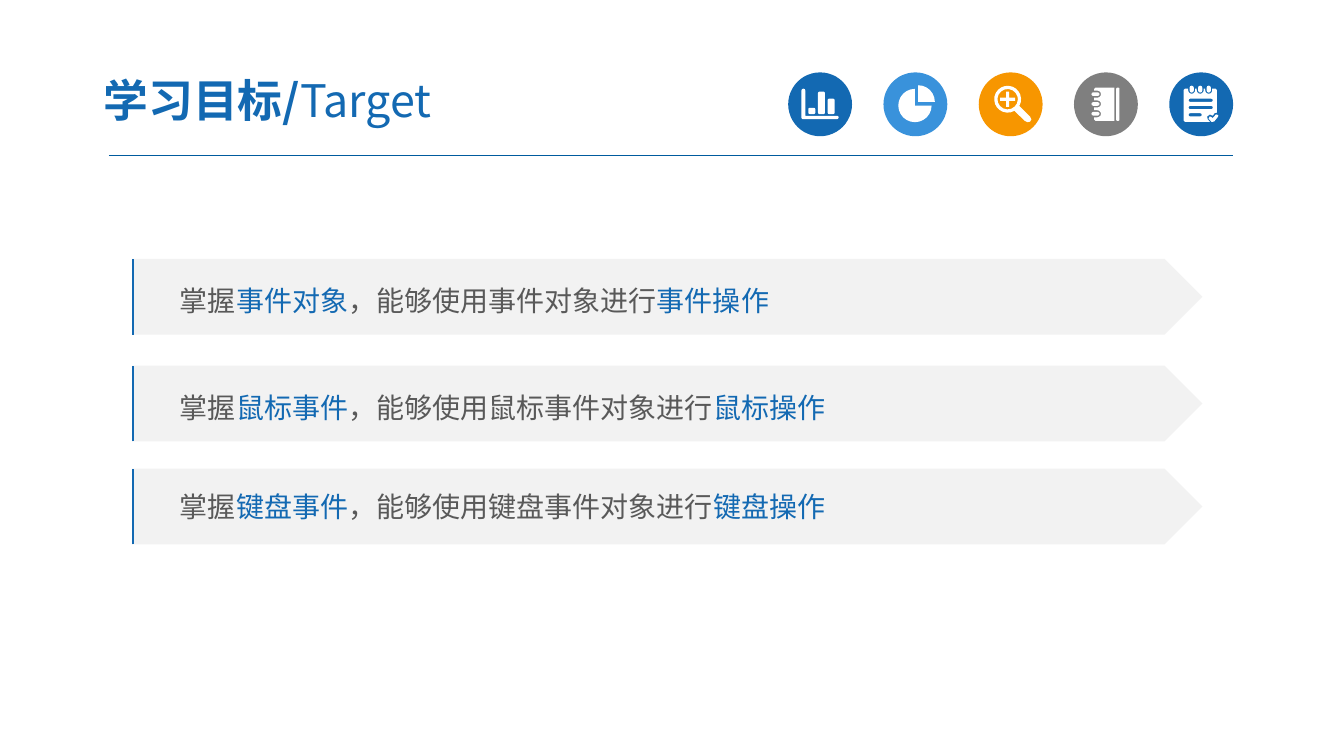
"""Build a slide of learning goals with a row of icons and three banners."""
from dataclasses import dataclass
from math import cos, radians, sin

from lxml import etree
from pptx import Presentation
from pptx.dml.color import RGBColor
from pptx.enum.shapes import MSO_CONNECTOR, MSO_SHAPE
from pptx.enum.text import MSO_ANCHOR, MSO_AUTO_SIZE, PP_ALIGN
from pptx.oxml.ns import qn
from pptx.util import Pt

OVAL = MSO_SHAPE.OVAL
BANNER = MSO_SHAPE.PENTAGON
STRAIGHT = MSO_CONNECTOR.STRAIGHT
LEFT = PP_ALIGN.LEFT
MIDDLE = MSO_ANCHOR.MIDDLE
NO_FIT = MSO_AUTO_SIZE.NONE


@dataclass(frozen=True)
class Theme:
    """Hold the colours, font and type sizes."""
    blue: str = "1369B2"
    sky: str = "3992DB"
    orange: str = "F79600"
    gray: str = "7F7F7F"
    white: str = "FFFFFF"
    pale: str = "F2F2F2"
    ink: str = "595959"
    rule: str = "005B9E"
    font: str = "Noto Sans CJK SC"
    head: int = 32
    body: int = 20


THEME = Theme()


def color(code):
    """Turn a hex code into a colour."""
    return RGBColor.from_string(code)


def write(shape, parts, size, inset=9.4, spacing=None):
    """Write (text, colour, bold) parts as one left-aligned paragraph."""
    frame = shape.text_frame
    frame.word_wrap = True
    frame.auto_size = NO_FIT
    frame.vertical_anchor = MIDDLE
    frame.margin_left = Pt(inset)
    para = frame.paragraphs[0]
    para.alignment = LEFT
    para.space_before = Pt(0)
    if spacing:
        para.line_spacing = spacing
    for text, tint, bold in parts:
        run = para.add_run()
        run.text = text
        run.font.size = Pt(size)
        run.font.bold = bold
        run.font.name = THEME.font
        run.font.color.rgb = color(tint)
        props = run._r.get_or_add_rPr()
        etree.SubElement(props, qn("a:ea"), typeface=THEME.font)


def paint(shape, fill):
    """Fill a shape flat, with no line or shadow."""
    shape.shadow.inherit = False
    shape.fill.solid()
    shape.fill.fore_color.rgb = color(fill)
    shape.line.fill.background()


def block(shapes, kind, x, y, wide, high, fill):
    """Add a flat preset shape."""
    shape = shapes.add_shape(kind, Pt(x), Pt(y), Pt(wide), Pt(high))
    paint(shape, fill)
    return shape


def rule(shapes, start, end, tint, width):
    """Add a straight line."""
    line = shapes.add_connector(STRAIGHT, *map(Pt, start + end))
    line.line.color.rgb = color(tint)
    line.line.width = Pt(width)
    etree.SubElement(line._element.spPr, qn("a:effectLst"))


def edge(shapes, x, top, high):
    """Add the upright line at the left of a banner."""
    path = shapes.build_freeform(Pt(x), Pt(top + high))
    path.add_line_segments([(Pt(x), Pt(top))], close=False)
    path.move_to(Pt(x + 11.5), Pt(top))
    shape = path.convert_to_shape()
    shape.shadow.inherit = False
    shape.fill.background()
    shape.line.color.rgb = color(THEME.blue)
    shape.line.width = Pt(1.5)


def glyph(shapes, x, y, loops):
    """Draw closed loops around a centre as one white shape."""
    path = None
    for loop in loops:
        first, *rest = [(Pt(x + dx), Pt(y + dy)) for dx, dy in loop]
        if path:
            path.move_to(*first)
        else:
            path = shapes.build_freeform(*first)
        path.add_line_segments(rest, close=True)
    paint(path.convert_to_shape(), THEME.white)


def arc(x, y, size, start, end, steps):
    """List points on an arc; angles run clockwise from the right."""
    turns = [radians(start + (end - start) * step / steps)
             for step in range(steps + 1)]
    return [(x + size * cos(turn), y + size * sin(turn)) for turn in turns]


def pill(x, y, wide, high, curve):
    """List the points of a rounded box."""
    right, low = x + wide - curve, y + high - curve
    left, top = x + curve, y + curve
    return (arc(left, top, curve, 180, 270, 2)
            + arc(right, top, curve, 270, 360, 2)
            + arc(right, low, curve, 0, 90, 2)
            + arc(left, low, curve, 90, 180, 2))


def bars():
    """Outline a bar chart."""
    axes = arc(-11.9, -9.8, 1.4, 180, 360, 4) + [(-10.5, 8.2)]
    axes += arc(12.1, 9.4, 1.2, -90, 90, 4) + [(-12.5, 10.6), (-13.3, 9.8)]
    return [axes] + [pill(-8.4 + 6.9 * step, 7 - high, 5, high, 1)
                     for step, high in enumerate((4.5, 16, 11))]


def pie():
    """Outline a pie with one quarter moved out."""
    return [arc(2, -1.7, 11.9, 270, 360, 6) + [(2, -1.7)],
            arc(-0.3, 0.9, 11.9, 0, 270, 18) + [(-0.3, 0.9)]]


def lens():
    """Outline a magnifier."""
    x, y = -2.1, -3.6
    grip = [(14, 9), (14.8, 10.8), (14, 12.4), (12.2, 12.8), (10.3, 12)]
    quarter = [(5.4, 1.1), (1.1, 1.1), (1.1, 5.4)]
    plus = [(x + a * across, y + b * down)
            for a, b, flip in ((1, 1, 1), (-1, 1, -1),
                               (-1, -1, 1), (1, -1, -1))
            for across, down in quarter[::flip]]
    return [arc(x, y, 9.6, 60, 390, 20) + grip,
            arc(x, y, 7.3, 0, 345, 15), plus]


def book():
    """Outline a ring-bound notebook."""
    page = [(-7.3, -11.9), (6.1, -11.9), (6.1, 11.9), (-7.3, 11.9),
            (-8.3, 10.9)]
    rings = []
    for mid in (6.8, -0.2, -7.2):
        page += [(-8.3, mid + 2.5)] + arc(-6, mid, 2.5, 90, -90, 6)
        page += [(-8.3, mid - 2.5)]
        rings.append(pill(-10.3, mid - 1.3, 5.8, 2.6, 1.3))
    page.append((-8.3, -10.9))
    return [page, pill(7.4, -11.9, 2.3, 23.8, 0.8)] + rings


def pad():
    """Outline a notepad with a tick."""
    page, clips = [(-12.6, -10.2), (-11.6, -11.2)], []
    for mid in (-6.8, -0.7, 5.4):
        page += [(mid - 2.5, -11.2)] + arc(mid, -10, 2.5, 180, 0, 6)
        page += [(mid + 2.5, -11.2)]
        clips.append(pill(mid - 1.5, -13.3, 3, 5, 1.5))
    page += [(10.2, -11.2), (11.2, -10.2), (11.2, 6), (9.6, 6.3), (8.3, 8.2),
             (6.2, 7.3), (4.2, 8.8), (4.7, 10.8), (6.3, 12.6),
             (-11.6, 12.6), (-12.6, 11.6)]
    check = [(12, 9), (9.2, 12.4), (7.4, 12.6), (5.3, 10.3), (6.2, 8.6),
             (8.3, 9.8), (10.6, 7.2), (12.2, 7.8)]
    lines = [pill(-9, -4 + 5.2 * step, wide, 2.3, 1.1)
             for step, wide in enumerate((17.3, 17.3, 9.4))]
    return [page, check] + clips + lines


def goal(shapes, top, parts, spacing):
    """Draw one banner with its edge line."""
    group = shapes.add_group_shape().shapes
    plate = block(group, BANNER, 94.3, top, 764.6, 54, THEME.pale)
    tints = (THEME.ink, THEME.blue) * 2
    write(plate, [(text, tint, False) for text, tint in zip(parts, tints)],
          THEME.body, inset=34.2, spacing=spacing)
    edge(group, 95, top, 54)


def main():
    """Build and save the slide."""
    deck = Presentation()
    deck.slide_width, deck.slide_height = Pt(960), Pt(540)
    slide = deck.slides.add_slide(deck.slide_layouts[5])
    shapes = slide.shapes

    title = shapes.title
    title.left, title.top = Pt(64.5), Pt(45.4)
    title.width, title.height = Pt(375.8), Pt(51.8)
    write(title, [("学习目标/", THEME.blue, True),
                  ("Target", THEME.blue, False)], THEME.head)

    rule(shapes, (77.8, 111.3), (880.6, 111.3), THEME.rule, 0.75)
    icons = ((bars, THEME.blue), (pie, THEME.sky), (lens, THEME.orange),
             (book, THEME.gray), (pad, THEME.blue))
    for step, (draw, fill) in enumerate(icons):
        group = shapes.add_group_shape().shapes
        x, y = 585.8 + 68.05 * step, 74.5
        block(group, OVAL, x - 22.8, y - 22.8, 45.6, 45.6, fill)
        glyph(group, x, y, draw())

    goals = ((185, "事件对象", "事件对象", "事件操作", 1.2),
             (261.2, "鼠标事件", "鼠标事件对象", "鼠标操作", 1.2),
             (334.8, "键盘事件", "键盘事件对象", "键盘操作", None))
    for top, topic, tool, skill, spacing in goals:
        parts = ("掌握", topic, f"，能够使用{tool}进行", skill)
        goal(shapes, top, parts, spacing)

    deck.save("out.pptx")


if __name__ == "__main__":
    main()
